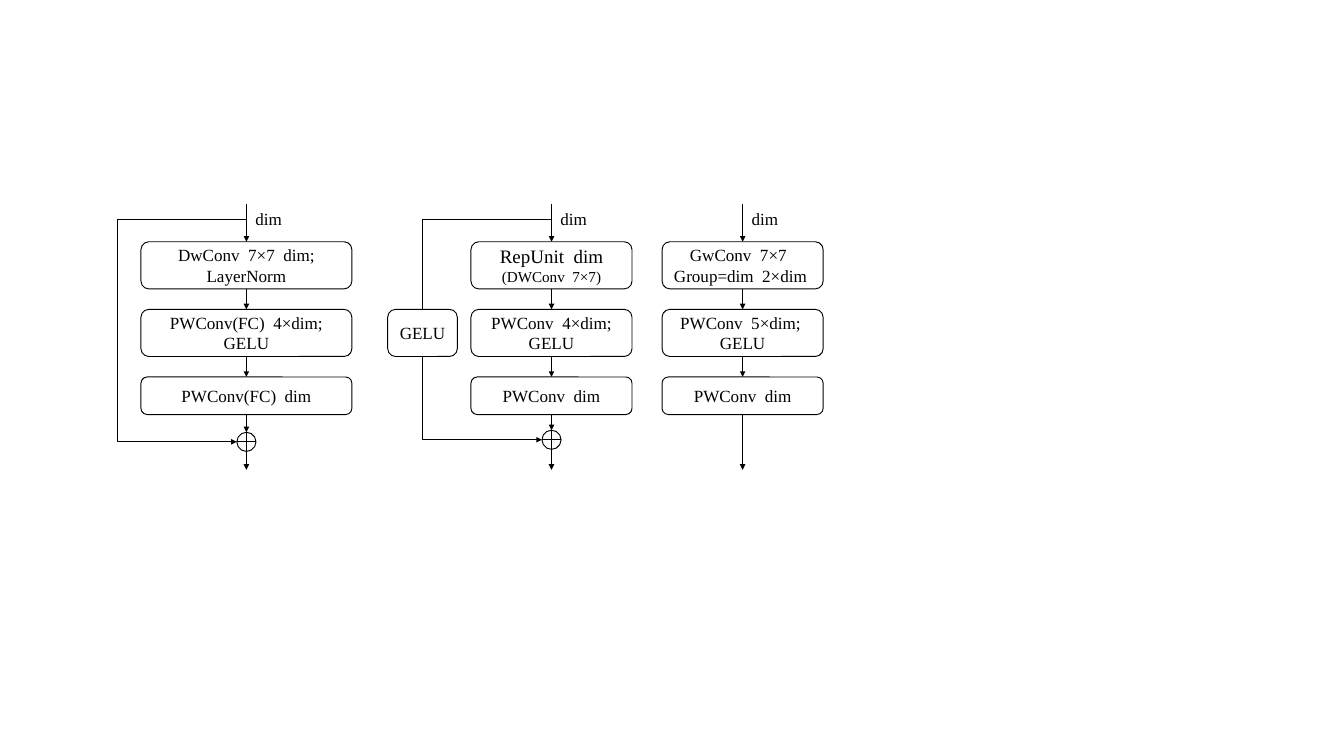
from dataclasses import dataclass
from typing import Optional

import pptx
import pptx.dml.color
import pptx.enum.shapes
import pptx.enum.text
import pptx.oxml
import pptx.oxml.ns
import pptx.util
from pptx.util import Inches

SHAPES = pptx.enum.shapes.MSO_SHAPE
CONNECTORS = pptx.enum.shapes.MSO_CONNECTOR
FONT = "Times New Roman"
BLACK = "000000"
WHITE = "FFFFFF"
LAYER_TOP = 3.54
LAYER_PITCH = 0.99
LAYER_HEIGHTS = (0.69, 0.69, 0.55)
ENTRY_TOP = 2.98
BRANCH_Y = 3.21
EXIT_BOTTOM = 6.88
SUM_SIZE = 0.28


@dataclass
class Label:
    text: str
    sizes: tuple[int, ...] = (18, 18)


@dataclass
class Skip:
    left: float
    sum_top: float
    label: Optional[Label] = None


@dataclass
class Block:
    center: float
    width: float
    layers: tuple[Label, ...]
    skip: Optional[Skip] = None


BLOCKS = (
    Block(3.61, 3.09, (
        Label("DwConv  7×7  dim;\nLayerNorm"),
        Label("PWConv(FC)  4×dim;\nGELU"),
        Label("PWConv(FC)  dim"),
    ), Skip(1.73, 6.33)),
    Block(8.08, 2.36, (
        Label("RepUnit  dim\n(DWConv  7×7)", (20, 16)),
        Label("PWConv  4×dim;\nGELU"),
        Label("PWConv  dim"),
    ), Skip(6.19, 6.3, Label("GELU"))),
    Block(10.88, 2.36, (
        Label("GwConv  7×7  \nGroup=dim  2×dim "),
        Label("PWConv  5×dim; \nGELU"),
        Label("PWConv  dim"),
    )),
)


def color(value: str) -> pptx.dml.color.RGBColor:
    return pptx.dml.color.RGBColor.from_string(value)


def write(text_frame, label: Label) -> None:
    text_frame.text = label.text
    text_frame.word_wrap = True
    for paragraph, size in zip(text_frame.paragraphs, label.sizes):
        paragraph.alignment = pptx.enum.text.PP_ALIGN.CENTER
        for run in paragraph.runs:
            run.font.name = FONT
            run.font.size = pptx.util.Pt(size)
            run.font.color.rgb = color(BLACK)


def add_node(slide, kind, left: float, top: float, width: float, height: float,
             label: Optional[Label] = None):
    shape = slide.shapes.add_shape(
        kind, Inches(left), Inches(top), Inches(width), Inches(height))
    shape.shadow.inherit = False
    shape.fill.solid()
    shape.fill.fore_color.rgb = color(WHITE)
    shape.line.color.rgb = color(BLACK)
    shape.line.width = pptx.util.Pt(1)
    if label:
        shape.text_frame.vertical_anchor = pptx.enum.text.MSO_ANCHOR.MIDDLE
        write(shape.text_frame, label)
    return shape


def add_arrow(slide, kind, start: tuple[float, float], end: tuple[float, float]):
    connector = slide.shapes.add_connector(
        kind, *(Inches(value) for value in (*start, *end)))
    connector.line.color.rgb = color(BLACK)
    connector.line.width = pptx.util.Pt(1)
    line = connector.line._get_or_add_ln()
    pptx.oxml.ns.qn("a:tailEnd")
    tail = line.makeelement(pptx.oxml.ns.qn("a:tailEnd"), {"type": "triangle"})
    line.append(tail)
    properties = connector._element.spPr
    properties.append(properties.makeelement(pptx.oxml.ns.qn("a:effectLst"), {}))
    return connector


def add_skip_line(slide, center: float, skip: Skip) -> None:
    end_x = center - SUM_SIZE / 2
    connector = add_arrow(slide, CONNECTORS.ELBOW, (center, BRANCH_Y),
                          (end_x, skip.sum_top + SUM_SIZE / 2))
    bend = round((center - skip.left) / (center - end_x) * 100000)
    guides = connector._element.spPr.find(
        pptx.oxml.ns.qn("a:prstGeom")).get_or_add_avLst()
    guides.append(guides.makeelement(
        pptx.oxml.ns.qn("a:gd"), {"name": "adj1", "fmla": f"val {bend}"}))


def add_block(slide, block: Block) -> None:
    center = block.center
    layers = [
        add_node(slide, SHAPES.ROUNDED_RECTANGLE, center - block.width / 2,
                 LAYER_TOP + index * LAYER_PITCH, block.width, height, label)
        for index, (label, height) in enumerate(zip(block.layers, LAYER_HEIGHTS))
    ]
    entry = add_arrow(slide, CONNECTORS.STRAIGHT,
                      (center, ENTRY_TOP), (center, LAYER_TOP))
    entry.end_connect(layers[0], 0)

    targets = layers[1:]
    exit_top = LAYER_TOP + 2 * LAYER_PITCH + LAYER_HEIGHTS[2]
    skip = block.skip
    if skip:
        add_skip_line(slide, center, skip)
        targets.append(add_node(slide, SHAPES.FLOWCHART_OR, center - SUM_SIZE / 2,
                                skip.sum_top, SUM_SIZE, SUM_SIZE))
        exit_top = skip.sum_top + SUM_SIZE
        if skip.label:
            add_node(slide, SHAPES.ROUNDED_RECTANGLE, skip.left - 0.51,
                     LAYER_TOP + LAYER_PITCH, 1.02, LAYER_HEIGHTS[1], skip.label)

    for source, target in zip(layers, targets):
        arrow = add_arrow(slide, CONNECTORS.STRAIGHT,
                          (center, LAYER_TOP), (center, exit_top))
        arrow.begin_connect(source, 2)
        arrow.end_connect(target, 0)
    exit_arrow = add_arrow(slide, CONNECTORS.STRAIGHT,
                           (center, exit_top), (center, EXIT_BOTTOM))
    if not skip:
        exit_arrow.begin_connect(layers[-1], 2)

    text_box = slide.shapes.add_textbox(
        Inches(center), Inches(3.01), Inches(0.65), Inches(0.4))
    write(text_box.text_frame, Label("dim"))


def main() -> None:
    presentation = pptx.Presentation()
    presentation.slide_width = Inches(19.69)
    presentation.slide_height = Inches(11.07)
    slide = presentation.slides.add_slide(presentation.slide_layouts[6])
    for block in BLOCKS:
        add_block(slide, block)
    presentation.save("out.pptx")


if __name__ == "__main__":
    main()
